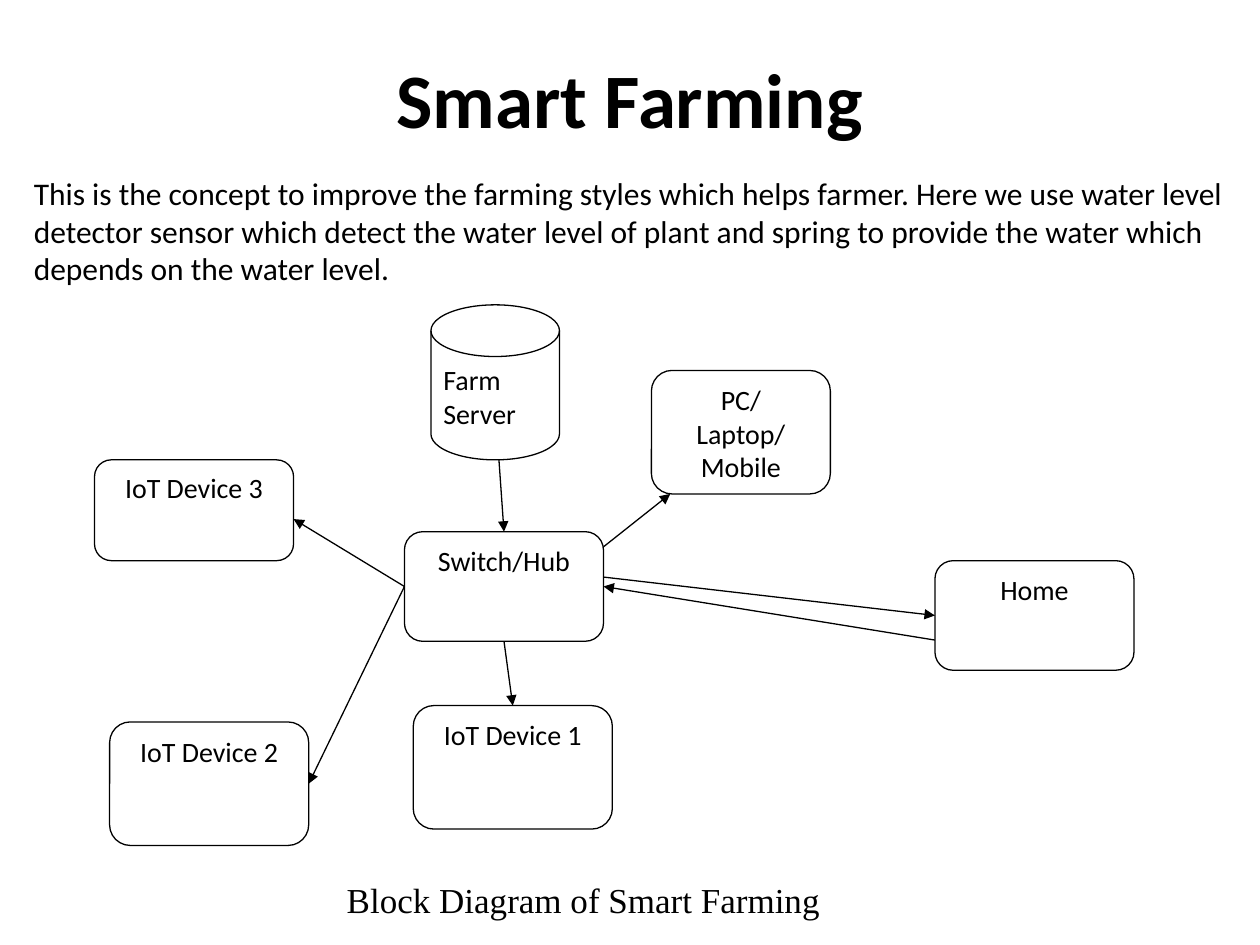
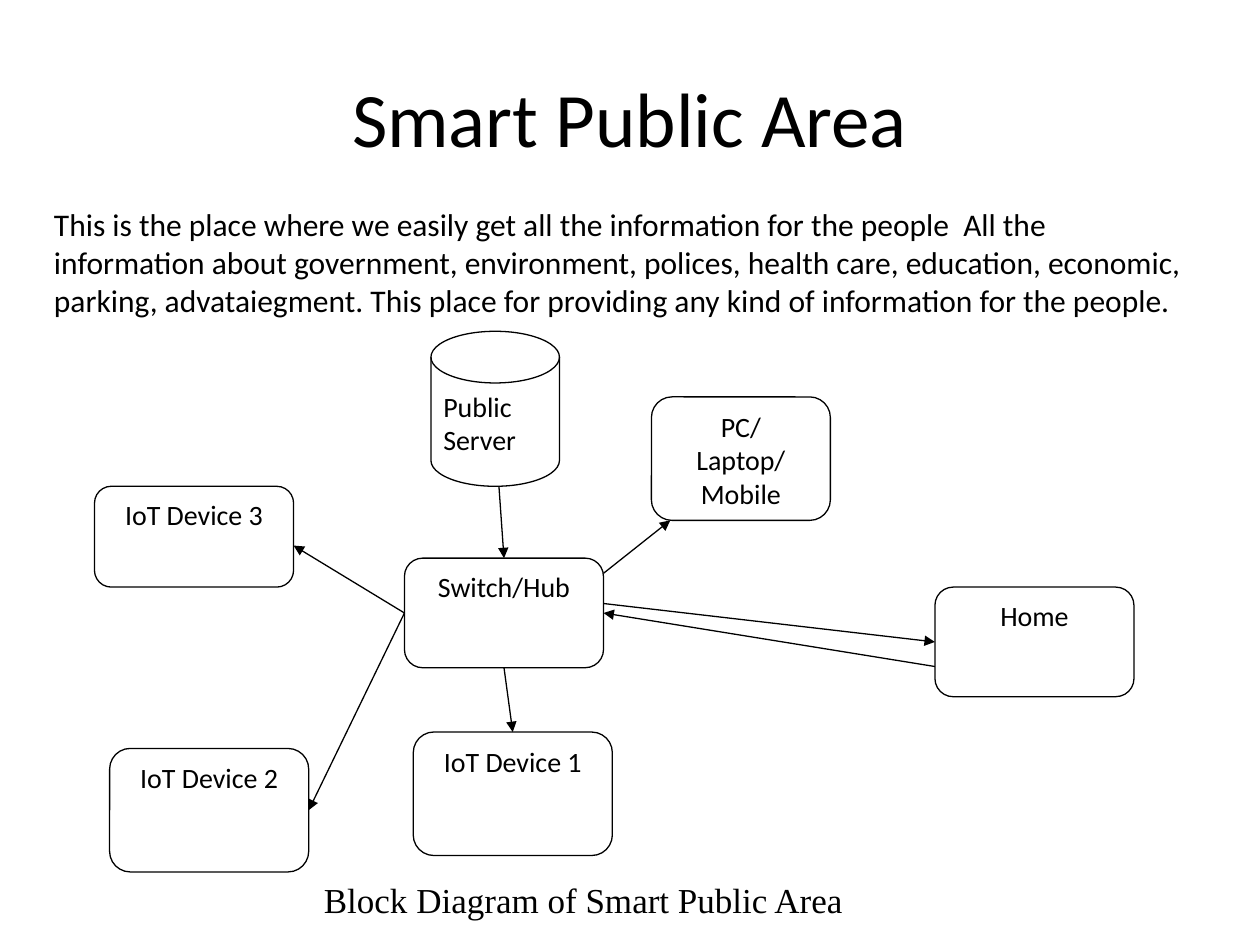
import pptx
import pptx.util
import pptx.dml.color
import pptx.enum.shapes
import pptx.enum.text
import pptx.oxml
import pptx.oxml.ns
from pptx.util import Inches

COLORS = {"ink": "000000", "paper": "FFFFFF"}
BODY_FONT = "Calibri"
CAPTION_FONT = "Times New Roman"

TOPICS = [
    {
        "title": "Smart Farming",
        "title_bold": True,
        "title_height": 0.95,
        "concept": "This is the concept to improve the farming styles which helps farmer. "
                   "Here we use water level detector sensor which detect the water level of plant "
                   "and spring to provide the water which depends on the water level.",
        "concept_box": (0.17, 1.33, 9.67, 1.31),
        "server": "Farm Server",
        "diagram_top": 2.42,
        "caption": "Block Diagram of Smart Farming",
    },
    {
        "title": "Smart Public Area",
        "title_bold": False,
        "title_height": 1.25,
        "concept": "This is the place where we easily get all the information for the people  "
                   "All the information about government, environment, polices, health care, "
                   "education, economic, parking, advataiegment. This place for providing any "
                   "kind of information for the people.",
        "concept_box": (0.33, 1.58, 9.25, 1.31),
        "server": "Public Server",
        "diagram_top": 2.63,
        "caption": "Block Diagram of Smart Public Area",
    },
]

# Node tops and link heights are measured from the top of the diagram.
NODES = {
    "IoT Device 3": (0.75, 1.23, 1.58, 0.8),
    "server": (3.42, 0, 1.02, 1.23),
    "Switch/Hub": (3.21, 1.8, 1.58, 0.87),
    "IoT Device 1": (3.28, 3.18, 1.58, 0.98),
    "Home": (7.42, 2.03, 1.58, 0.87),
    "PC/Laptop/Mobile": (5.17, 0.52, 1.42, 0.98),
    "IoT Device 2": (0.87, 3.31, 1.58, 0.98),
}
TOP, LEFT, BOTTOM, RIGHT = range(4)
LINKS = [
    ((3.96, 1.23), ("Switch/Hub", TOP)),
    (("Switch/Hub", BOTTOM), ("IoT Device 1", TOP)),
    (("Switch/Hub", LEFT), (2.33, 1.7)),
    (("Switch/Hub", LEFT), ("IoT Device 2", RIGHT)),
    ((4.79, 1.92), (5.32, 1.5)),
    ((7.42, 2.66), ("Switch/Hub", RIGHT)),
    ((4.79, 2.16), ("Home", LEFT)),
]

SHAPE = pptx.enum.shapes.MSO_SHAPE
ALIGN = pptx.enum.text.PP_ALIGN
ANCHOR = pptx.enum.text.MSO_ANCHOR


def color(name):
    return pptx.dml.color.RGBColor.from_string(COLORS[name])


def write(frame, text, size, align, font=BODY_FONT, bold=False, anchor=ANCHOR.TOP, after=0):
    frame.word_wrap = True
    frame.vertical_anchor = anchor
    frame.text = text
    paragraph = frame.paragraphs[0]
    paragraph.alignment = align
    paragraph.space_after = pptx.util.Pt(after)
    style = paragraph.runs[0].font
    style.name, style.size, style.bold = font, pptx.util.Pt(size), bold
    style.color.rgb = color("ink")


def add_text(slide, box, text, size, align, **options):
    write(slide.shapes.add_textbox(*map(Inches, box)).text_frame, text, size, align, **options)


def outline(part):
    part.line.color.rgb = color("ink")
    part.line.width = pptx.util.Pt(0.75)


def add_node(shapes, name, topic):
    left, offset, width, height = NODES[name]
    is_server = name == "server"
    kind = SHAPE.FLOWCHART_MAGNETIC_DISK if is_server else SHAPE.ROUNDED_RECTANGLE
    node = shapes.add_shape(kind, Inches(left), Inches(topic["diagram_top"] + offset),
                            Inches(width), Inches(height))
    node.shadow.inherit = False
    node.fill.solid()
    node.fill.fore_color.rgb = color("paper")
    outline(node)
    write(node.text_frame, topic["server"] if is_server else name, 16,
          ALIGN.LEFT if is_server else ALIGN.CENTER, after=10)
    return node


def add_link(shapes, nodes, start, end, top):
    link = shapes.add_connector(pptx.enum.shapes.MSO_CONNECTOR.STRAIGHT, 0, Inches(top),
                                0, Inches(top))
    ends = (
        (start, link.begin_connect, "begin_x", "begin_y"),
        (end, link.end_connect, "end_x", "end_y"),
    )
    for (place, detail), connect, x_name, y_name in ends:
        if place in nodes:
            connect(nodes[place], detail)
        else:
            setattr(link, x_name, Inches(place))
            setattr(link, y_name, Inches(top + detail))
    outline(link)
    qn = pptx.oxml.ns.qn
    properties = link._element.spPr
    arrow = properties.find(qn("a:ln")).makeelement(qn("a:tailEnd"), {"type": "triangle"})
    properties.find(qn("a:ln")).append(arrow)
    properties.append(properties.makeelement(qn("a:effectLst"), {}))


def add_diagram(slide, topic):
    shapes = slide.shapes.add_group_shape().shapes
    nodes = {name: add_node(shapes, name, topic) for name in NODES}
    for start, end in LINKS:
        add_link(shapes, nodes, start, end, topic["diagram_top"])
    shapes._recalculate_extents()


def add_topic(deck, topic):
    slide = deck.slides.add_slide(deck.slide_layouts[6])
    add_text(slide, (0.5, 0.3, 9, topic["title_height"]), topic["title"], 44, ALIGN.CENTER,
             bold=topic["title_bold"], anchor=ANCHOR.MIDDLE)
    add_text(slide, topic["concept_box"], topic["concept"], 18, ALIGN.LEFT)
    add_diagram(slide, topic)
    add_text(slide, (2.17, 6.92, 4.92, 0.44), topic["caption"], 20, ALIGN.CENTER,
             font=CAPTION_FONT)


def main():
    deck = pptx.Presentation()
    deck.slide_width, deck.slide_height = Inches(10), Inches(7.5)
    for topic in TOPICS:
        add_topic(deck, topic)
    deck.save("out.pptx")


if __name__ == "__main__":
    main()
